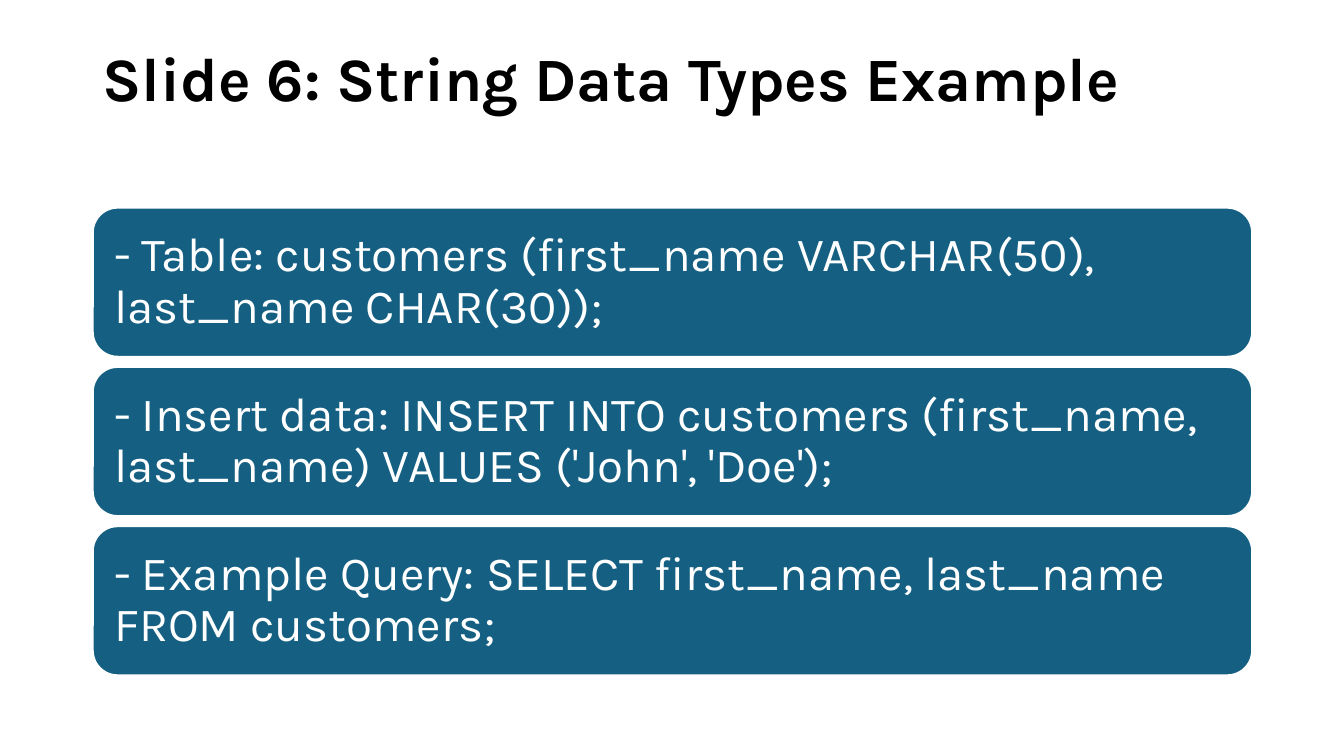
from pptx import Presentation
from pptx.dml.color import RGBColor
from pptx.enum.shapes import MSO_SHAPE
from pptx.enum.text import MSO_ANCHOR, PP_ALIGN
from pptx.util import Pt

PX = 9144  # EMU per px, 100 px to the inch

THEME = {
    "font": "Karla",
    "title_size": 44,
    "card_size": 34,
    "title": RGBColor(0x00, 0x00, 0x00),
    "card": RGBColor(0x15, 0x60, 0x82),
    "white": RGBColor(0xFF, 0xFF, 0xFF),
}


def write_text(shape, text, *, size, color, anchor, insets, bold=False):
    """Fill a shape with one left-aligned paragraph; insets are (side, vertical) px."""
    frame = shape.text_frame
    frame.word_wrap = True
    frame.vertical_anchor = anchor
    side, vertical = insets
    frame.margin_left = frame.margin_right = side * PX
    frame.margin_top = frame.margin_bottom = vertical * PX
    paragraph = frame.paragraphs[0]
    paragraph.alignment = PP_ALIGN.LEFT
    paragraph.line_spacing = 0.9
    run = paragraph.add_run()
    run.text = text
    run.font.name = THEME["font"]
    run.font.size = Pt(size)
    run.font.bold = bold
    run.font.color.rgb = color


presentation = Presentation()
presentation.slide_width = 1333 * PX
presentation.slide_height = 750 * PX
slide = presentation.slides.add_slide(presentation.slide_layouts[6])

LEFT, WIDTH = 92, 1150

# Title
title = slide.shapes.add_textbox(LEFT * PX, 40 * PX, WIDTH * PX, 145 * PX)
write_text(title, "Slide 6: String Data Types Example", size=THEME["title_size"],
           color=THEME["title"], anchor=MSO_ANCHOR.TOP, insets=(10, 8), bold=True)

# Stacked cards
CARD_TOP, CARD_HEIGHT, CARD_GAP = 206, 148, 10
statements = [
    "- Table: customers (first_name VARCHAR(50), last_name CHAR(30));",
    "- Insert data: INSERT INTO customers (first_name, last_name) VALUES ('John', 'Doe');",
    "- Example Query: SELECT first_name, last_name FROM customers;",
]
for index, statement in enumerate(statements):
    top = CARD_TOP + index * (CARD_HEIGHT + CARD_GAP)
    card = slide.shapes.add_shape(MSO_SHAPE.ROUNDED_RECTANGLE,
                                  LEFT * PX, top * PX, WIDTH * PX, CARD_HEIGHT * PX)
    card.shadow.inherit = False
    card.fill.solid()
    card.fill.fore_color.rgb = THEME["card"]
    card.line.color.rgb = THEME["white"]
    card.line.width = Pt(1.5)
    write_text(card, statement, size=THEME["card_size"], color=THEME["white"],
               anchor=MSO_ANCHOR.MIDDLE, insets=(14, 14))

presentation.save("out.pptx")
